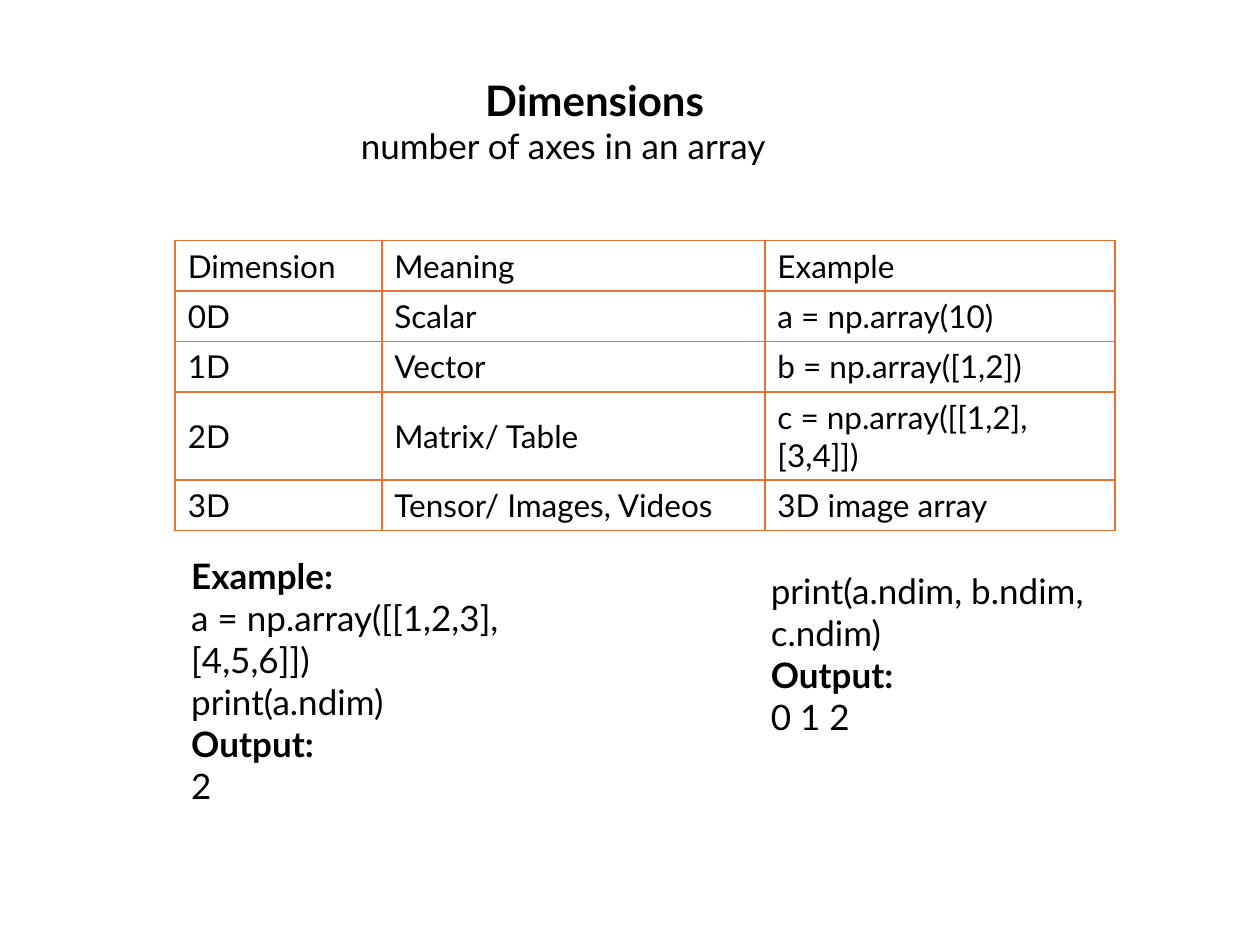
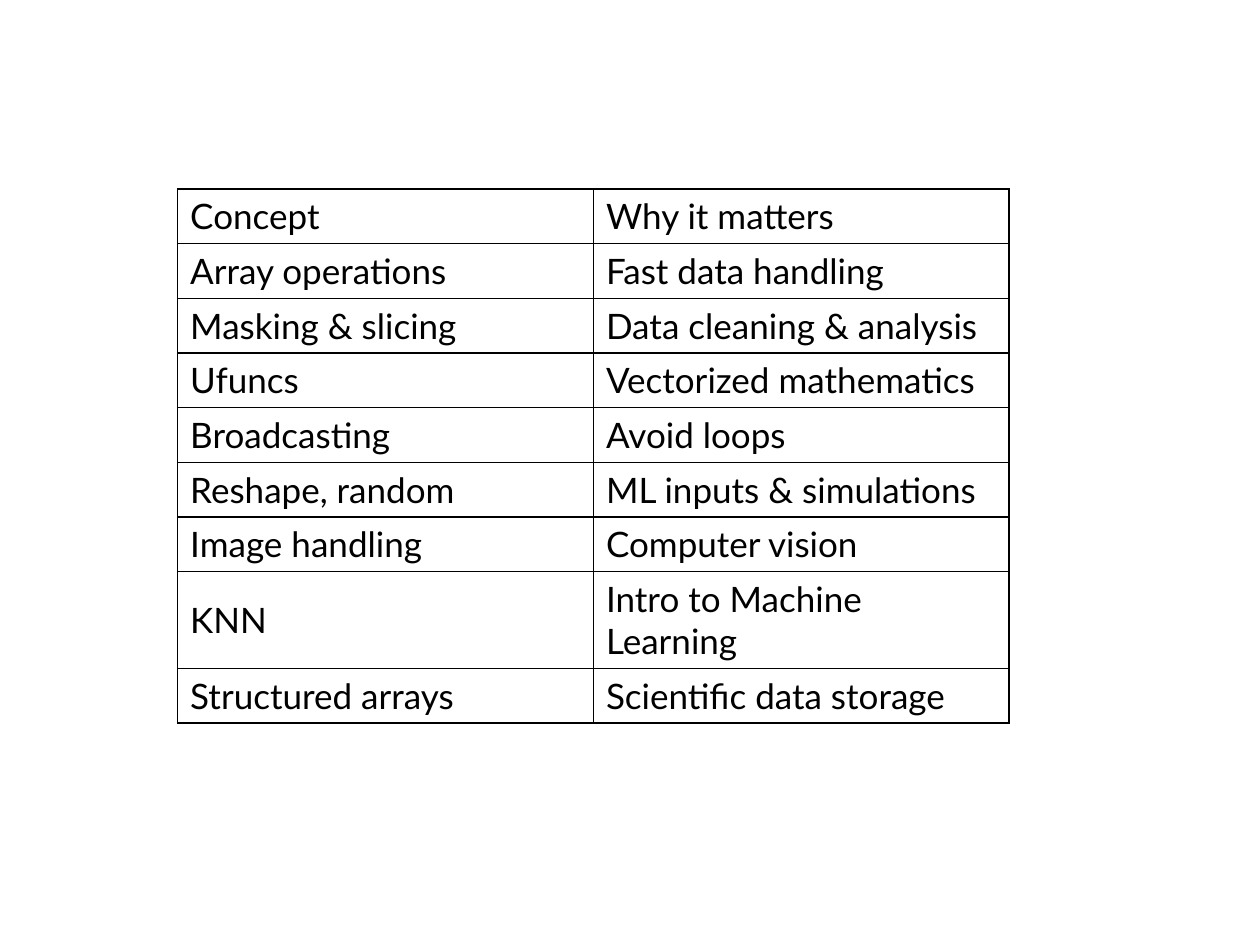
from lxml.etree import SubElement
from pptx import Presentation
from pptx.dml.color import RGBColor
from pptx.enum.text import MSO_ANCHOR as Anchor, MSO_AUTO_SIZE as AutoSize, PP_ALIGN as Align
from pptx.oxml.ns import qn
from pptx.util import Pt

BLACK = RGBColor(0x00, 0x00, 0x00)
ORANGE = RGBColor(0xE9, 0x71, 0x32)
FONT = "Lato"
BODY_SIZE = 20
BLANK_LAYOUT = 6


class Lesson:
    """Holds the deck, its style and the current slide."""

    def __init__(self, width, height):
        self.deck = Presentation()
        self.deck.slide_width, self.deck.slide_height = Pt(width), Pt(height)
        self.slide = None

    def new_slide(self):
        self.slide = self.deck.slides.add_slide(self.deck.slide_layouts[BLANK_LAYOUT])

    def style(self, para, size, bold=False):
        font = para.font
        font.name, font.size, font.bold = FONT, Pt(size), bold
        font.color.rgb = BLACK

    def text(self, left, top, width, height, lines, headings, align=Align.LEFT, heading_size=BODY_SIZE):
        """Adds one paragraph per line; lines found in headings are bold."""
        box = self.slide.shapes.add_textbox(Pt(left), Pt(top), Pt(width), Pt(height))
        frame = box.text_frame
        frame.word_wrap = True
        frame.auto_size = AutoSize.SHAPE_TO_FIT_TEXT
        frame.text = "\n".join(lines)
        for para in frame.paragraphs:
            is_heading = para.text in headings
            para.alignment = align
            self.style(para, heading_size if is_heading else BODY_SIZE, is_heading)
        return frame

    def border(self, cell, color):
        properties = cell._tc.get_or_add_tcPr()
        for position, side in enumerate(("a:lnL", "a:lnR", "a:lnT", "a:lnB")):
            line = SubElement(properties, qn(side), w=str(Pt(1)))
            fill = SubElement(line, qn("a:solidFill"))
            SubElement(fill, qn("a:srgbClr"), val=str(color))
            properties.insert(position, line)

    def table(self, left, top, widths, row_height, rows, size, line_color):
        grid = self.slide.shapes.add_table(
            len(rows), len(widths), Pt(left), Pt(top), Pt(sum(widths)), Pt(row_height * len(rows))
        ).table
        grid.first_row = grid.horz_banding = False
        for column, width in zip(grid.columns, widths):
            column.width = Pt(width)
        for row, values in zip(grid.rows, rows):
            row.height = Pt(row_height)
            for cell, value in zip(row.cells, values):
                cell.text = value
                cell.vertical_anchor = Anchor.MIDDLE
                cell.fill.background()
                self.style(cell.text_frame.paragraphs[0], size)
                self.border(cell, line_color)


def add_dimensions(lesson):
    lesson.new_slide()

    # Title and definition
    title = lesson.text(187.2, 38.9, 269.3, 60.5, ["Dimensions", "number of axes in an array"],
                        ["Dimensions"], Align.CENTER, heading_size=24)
    title.paragraphs[0]._p.get_or_add_pPr().set("marL", str(Pt(36)))

    # Meaning of each dimension
    lesson.table(100.1, 137.5, [118.1, 218.9, 200.2], 28.8, [
        ("Dimension", "Meaning", "Example"),
        ("0D", "Scalar", "a = np.array(10)"),
        ("1D", "Vector", "b = np.array([1,2])"),
        ("2D", "Matrix/ Table", "c = np.array([[1,2],[3,4]])"),
        ("3D", "Tensor/ Images, Videos", "3D image array"),
    ], 18, ORANGE)

    # Code with its output
    headings = ["Example:", "Output:"]
    lesson.text(433.4, 321.8, 257.8, 104.4,
                ["print(a.ndim, b.ndim, c.ndim)", "Output:", "0 1 2"], headings)
    lesson.text(102.2, 313.2, 255.6, 128.2,
                ["Example:", "a = np.array([[1,2,3],[4,5,6]])", "print(a.ndim)", "Output:", "2"], headings)


def add_summary(lesson):
    lesson.new_slide()

    # Concepts and their use
    lesson.table(101.5, 108, [237.6] * 2, 31.2, [
        ("Concept", "Why it matters"),
        ("Array operations", "Fast data handling"),
        ("Masking & slicing", "Data cleaning & analysis"),
        ("Ufuncs", "Vectorized mathematics"),
        ("Broadcasting", "Avoid loops"),
        ("Reshape, random", "ML inputs & simulations"),
        ("Image handling", "Computer vision"),
        ("KNN", "Intro to Machine Learning"),
        ("Structured arrays", "Scientific data storage"),
    ], BODY_SIZE, BLACK)


def main():
    lesson = Lesson(720, 540)
    add_dimensions(lesson)
    add_summary(lesson)
    lesson.deck.save("out.pptx")


if __name__ == "__main__":
    main()
